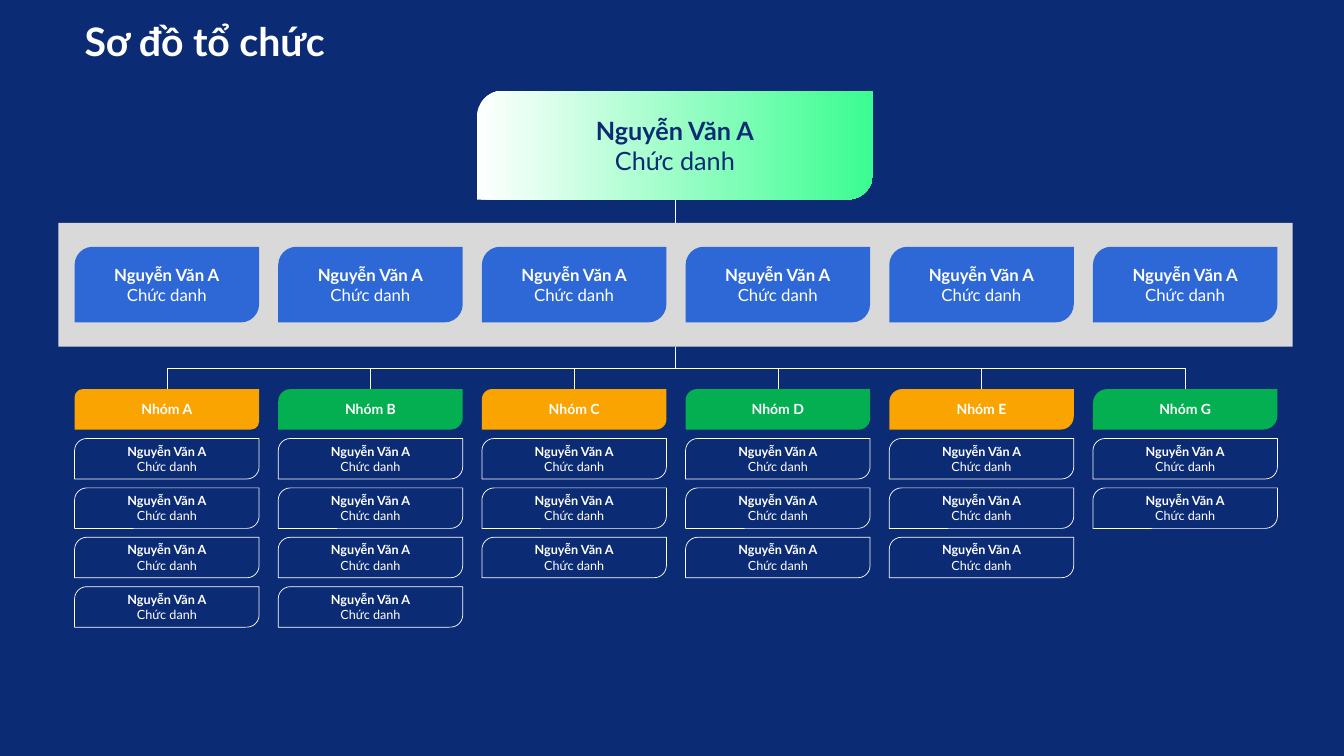
from dataclasses import dataclass

from lxml.etree import SubElement
from pptx import Presentation
from pptx.dml.color import RGBColor
from pptx.enum.shapes import MSO_CONNECTOR as LINE, MSO_SHAPE as SHAPE
from pptx.enum.text import MSO_ANCHOR as ANCHOR, PP_ALIGN as ALIGN
from pptx.oxml.ns import qn
from pptx.util import Inches, Pt


@dataclass(frozen=True)
class Theme:
    """Colours, font, type sizes and line width in one place."""
    navy: str = "0C2B75"
    white: str = "FFFFFF"
    mint: str = "3BFC91"
    grey: str = "D9D9D9"
    blue: str = "2E68D6"
    orange: str = "F9A401"
    green: str = "03AF50"
    font: str = "Lato"
    title: int = 28
    leader: int = 18
    manager: int = 12
    group: int = 10
    member: int = 9
    hairline: float = 0.5


class OrgChart:
    """Draws an organisation chart on one slide with a shared theme."""

    def __init__(self, prs, theme):
        """Add a blank slide and paint its background."""
        self.prs, self.theme = prs, theme
        self.s = prs.slides.add_slide(prs.slide_layouts[6])
        fill = self.s.background.fill
        fill.solid()
        fill.fore_color.rgb = RGBColor.from_string(theme.navy)

    def share(self, x, y, w, h):
        """Turn percentages of the slide into a rectangle."""
        width, height = self.prs.slide_width, self.prs.slide_height
        return [int(v * size / 100) for v, size in
                ((x, width), (y, height), (w, width), (h, height))]

    def cell(self, col, row, rows=0.82):
        """Turn a column, a row and a height in rows into a rectangle."""
        return [Inches(v) for v in
                (0.74 + 2.02 * col, 3.86 + 0.49 * row, 1.83, 0.49 * rows)]

    def text(self, tf, lines, size, color, align=ALIGN.CENTER):
        """Set lines of text, the first one bold."""
        tf.word_wrap = True
        tf.text = "\n".join(lines)
        for i, p in enumerate(tf.paragraphs):
            p.alignment = align
            for r in p.runs:
                r.font.name, r.font.size = self.theme.font, Pt(size)
                r.font.bold = i == 0
                r.font.color.rgb = RGBColor.from_string(color)

    def title(self, rect, text):
        """Add the slide title."""
        tf = self.s.shapes.add_textbox(*rect).text_frame
        self.text(tf, [text], self.theme.title, self.theme.white, ALIGN.LEFT)
        tf.paragraphs[0].line_spacing = 0.9

    def block(self, rect, color, kind=SHAPE.RECTANGLE):
        """Add a borderless shape, or an outlined one if it has no colour."""
        sp = self.s.shapes.add_shape(kind, *rect)
        sp.shadow.inherit = False
        if color:
            sp.fill.solid()
            sp.fill.fore_color.rgb = RGBColor.from_string(color)
            sp.line.fill.background()
        else:
            sp.fill.background()
            self.stroke(sp.line)
        return sp

    def card(self, rect, lines, size, color=None, corner=0.24, ink=None):
        """Add a card with two opposite rounded corners and centred text."""
        sp = self.block(rect, color, SHAPE.ROUND_2_DIAG_RECTANGLE)
        sp.adjustments[0], sp.adjustments[1] = corner, 0
        sp.text_frame.vertical_anchor = ANCHOR.MIDDLE
        self.text(sp.text_frame, lines, size, ink or self.theme.white)
        return sp

    def gradient(self, sp, *colors):
        """Fill a shape with a left-to-right gradient of two colours."""
        sp.fill.gradient()
        sp.fill.gradient_angle = 0
        for i, (stop, color) in enumerate(zip(sp.fill.gradient_stops, colors)):
            stop.position = i
            stop.color.rgb = RGBColor.from_string(color)

    def stroke(self, line):
        """Apply the white hairline."""
        line.color.rgb = RGBColor.from_string(self.theme.white)
        line.width = Pt(self.theme.hairline)

    def connector(self, kind, *ends):
        """Add a hairline connector without a shadow."""
        c = self.s.shapes.add_connector(kind, *ends)
        self.stroke(c.line)
        SubElement(c._element.spPr, qn("a:effectLst"))
        return c

    def stem(self, upper, lower):
        """Join the bottom of a card to the top of a rectangle."""
        x = lower.left + lower.width // 2
        c = self.connector(LINE.STRAIGHT, x, upper.top + upper.height, x, lower.top)
        c.end_connect(lower, 0)

    def branch(self, upper, lower):
        """Run a down-across-down elbow between two shapes."""
        x0, y0 = upper.left + upper.width // 2, upper.top + upper.height
        x1, y1 = lower.left + lower.width // 2, lower.top
        half_w, half_h = (y1 - y0) // 2, abs(x1 - x0) // 2
        mid_x, mid_y = (x0 + x1) // 2, (y0 + y1) // 2
        side = 1 if x1 < x0 else -1
        c = self.connector(LINE.ELBOW, mid_x - side * half_w, mid_y - half_h,
                           mid_x + side * half_w, mid_y + half_h)
        turn = 90 if side == 1 else 270
        c._element.spPr.find(qn("a:xfrm")).set("rot", str(turn * 60000))


def main():
    """Build the organisation chart slide."""
    prs = Presentation()
    prs.slide_width, prs.slide_height = Inches(13.33), Inches(7.5)
    t = Theme()
    chart = OrgChart(prs, t)
    person = ["Nguyễn Văn A", "Chức danh"]
    groups = [("A", 4, 0.2), ("B", 4, 0.3), ("C", 3, 0.25),
              ("D", 3, 0.28), ("E", 3, 0.32), ("G", 2, 0.35)]

    band = chart.block(chart.share(4.35, 29.47, 91.82, 16.4), t.grey)
    chart.title(chart.share(5.55, 2.4, 67.2, 7.47), "Sơ đồ tổ chức")
    leader = chart.card(chart.share(35.48, 12, 29.48, 14.4), person, t.leader,
                        t.white, ink=t.navy)
    chart.gradient(leader, t.white, t.mint)
    chart.stem(leader, band)

    for col, (letter, members, corner) in enumerate(groups):
        chart.card(chart.cell(col, -2.88, 1.53), person, t.manager, t.blue)
        head = chart.card(chart.cell(col, 0), [f"Nhóm {letter}"], t.group,
                          (t.orange, t.green)[col % 2], corner)
        chart.branch(band, head)
        for row in range(1, members + 1):
            chart.card(chart.cell(col, row), person, t.member, corner=0.3)

    prs.save("out.pptx")


if __name__ == "__main__":
    main()
